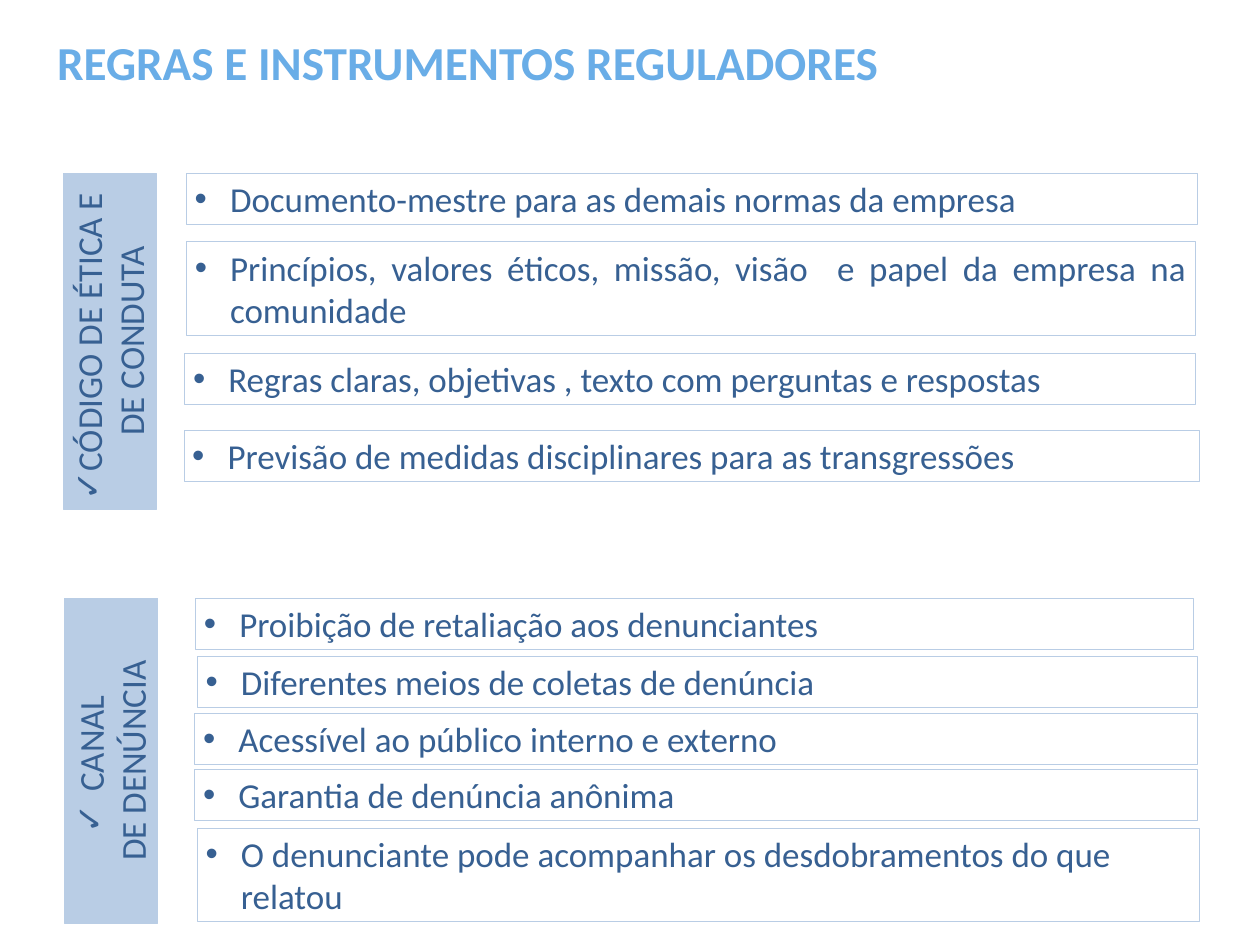
from lxml.etree import SubElement
from pptx import Presentation
from pptx.dml.color import RGBColor
from pptx.enum.shapes import MSO_SHAPE
from pptx.enum.text import MSO_ANCHOR, MSO_AUTO_SIZE, PP_ALIGN
from pptx.oxml.ns import qn
from pptx.util import Inches, Pt

LEFT, CENTER, JUSTIFY = PP_ALIGN.LEFT, PP_ALIGN.CENTER, PP_ALIGN.JUSTIFY
PALE, NAVY, SKY = "B9CDE5", "376092", "69ADE7"
LINE_HEIGHT, PADDING = 0.5, 0.11

CODE_RULES = [
    (2.22, 2.06, 12.03, 1, LEFT, "Documento-mestre para as demais normas da empresa"),
    (2.22, 2.88, 12.01, 2, JUSTIFY,
     "Princípios, valores éticos, missão, visão  e papel da empresa na comunidade"),
    (2.2, 4.21, 12.03, 1, JUSTIFY, "Regras claras, objetivas , texto com perguntas e respostas"),
    (2.19, 5.12, 12.09, 1, JUSTIFY, "Previsão de medidas disciplinares para as transgressões"),
]
CHANNEL_RULES = [
    (2.33, 7.12, 11.88, 1, LEFT, "Proibição de retaliação aos denunciantes"),
    (2.35, 7.81, 11.91, 1, LEFT, "Diferentes meios de coletas de denúncia"),
    (2.32, 8.49, 11.93, 1, LEFT, "Acessível ao público interno e externo"),
    (2.32, 9.16, 11.93, 1, LEFT, "Garantia de denúncia anônima"),
    (2.35, 9.86, 11.93, 2, LEFT, "O denunciante pode acompanhar os desdobramentos do que relatou"),
]


def rgb(color):
    """Turn a hex string into a colour."""
    return RGBColor.from_string(color)


def write(paragraph, text, size=30, color=NAVY, bold=False, align=LEFT, bullet=None, indent=0):
    """Put formatted text, with an optional hanging bullet, in a paragraph."""
    paragraph.alignment = align
    if bullet:
        properties = paragraph._p.get_or_add_pPr()
        properties.set("marL", str(Inches(indent)))
        properties.set("indent", str(-Inches(indent)))
        SubElement(properties, qn("a:buFont"), typeface="Arial")
        SubElement(properties, qn("a:buChar"), char=bullet)
    run = paragraph.add_run()
    run.text = text
    run.font.name, run.font.size, run.font.bold = "Calibri", Pt(size), bold
    run.font.color.rgb = rgb(color)


def add_panel(slide, left, top, width, height, fill=None):
    """Add a pale-edged rectangle that grows with its text."""
    panel = slide.shapes.add_shape(
        MSO_SHAPE.RECTANGLE, Inches(left), Inches(top), Inches(width), Inches(height))
    panel.shadow.inherit = False
    if fill:
        panel.fill.solid()
        panel.fill.fore_color.rgb = rgb(fill)
    else:
        panel.fill.background()
    panel.line.color.rgb = rgb(PALE)
    panel.line.width = Pt(0.75)
    panel.text_frame.word_wrap = True
    panel.text_frame.auto_size = MSO_AUTO_SIZE.SHAPE_TO_FIT_TEXT
    panel.text_frame.vertical_anchor = MSO_ANCHOR.TOP
    return panel


def add_title(slide, left, top, width, height):
    """Place and format the slide title."""
    title = slide.shapes.title
    title.left, title.top = Inches(left), Inches(top)
    title.width, title.height = Inches(width), Inches(height)
    title.text_frame.word_wrap = True
    title.text_frame.vertical_anchor = MSO_ANCHOR.TOP
    write(title.text_frame.paragraphs[0], "REGRAS E INSTRUMENTOS REGULADORES",
          size=40.5, color=SKY, bold=True)


def add_heading(slide, left, top, width, height, lines, align, indent, wrap):
    """Fill an upright box with a two-line heading that reads upwards."""
    heading = add_panel(slide, left + (width - height) / 2, top + (height - width) / 2,
                        height, width, PALE)
    heading.rotation = 270
    frame = heading.text_frame
    frame.word_wrap = wrap
    write(frame.paragraphs[0], lines[0], align=align, bullet="✓", indent=indent)
    write(frame.add_paragraph(), lines[1], align=CENTER)


def add_rules(slide, rules):
    """Add one bulleted panel for each rule."""
    for left, top, width, line_count, align, text in rules:
        panel = add_panel(slide, left, top, width, line_count * LINE_HEIGHT + PADDING)
        write(panel.text_frame.paragraphs[0], text, align=align, bullet="•", indent=0.42)


def main():
    """Build and save the slide."""
    deck = Presentation()
    deck.slide_width, deck.slide_height = Inches(15), Inches(11.25)
    slide = deck.slides.add_slide(deck.slide_layouts[5])
    add_title(slide, 0.58, 0.35, 10.24, 0.78)
    add_heading(slide, 0.75, 2.06, 1.11, 4, ("CÓDIGO DE ÉTICA E", "DE CONDUTA"), LEFT, 0.35, False)
    add_rules(slide, CODE_RULES)
    add_heading(slide, 0.77, 7.12, 1.11, 3.87, ("CANAL ", "DE DENÚNCIA"), CENTER, 0.5, True)
    add_rules(slide, CHANNEL_RULES)
    deck.save("out.pptx")


if __name__ == "__main__":
    main()
